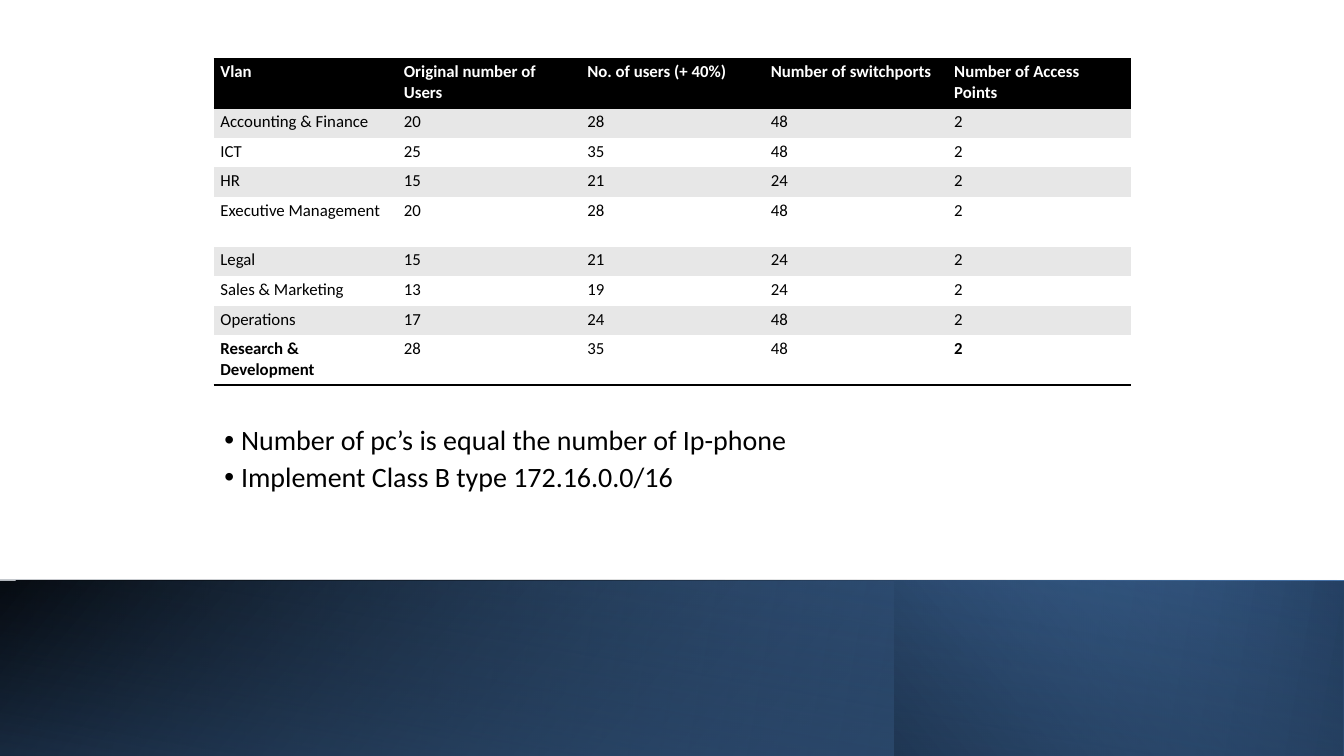
"""Build the VLAN sizing slide: a table, two notes and a blue gradient band."""
from lxml import etree
from pptx import Presentation
from pptx import util as u
from pptx.dml.color import RGBColor
from pptx.enum import shapes, text
from pptx.oxml import parse_xml
from pptx.oxml.ns import nsdecls, qn

COLOURS = {"black": "000000", "white": "FFFFFF", "band": "E7E7E7",
           "blue": "4F81BD", "navy": "254061"}
FONT = "Calibri"
NO_STYLE = "{2D5ABB26-0587-4C30-8999-92F81FD0307C}"
COLUMN_WIDTH = 2.73
LOW_ROW, TALL_ROW = 0.44, 0.74
TALL_ROWS = (0, 4, 8)
ROWS = [
    ("Vlan", "Original number of Users", "No. of users (+ 40%)",
     "Number of switchports", "Number of Access Points"),
    ("Accounting & Finance", "20", "28", "48", "2"),
    ("ICT", "25", "35", "48", "2"),
    ("HR", "15", "21", "24", "2"),
    ("Executive Management", "20", "28", "48", "2"),
    ("Legal", "15", "21", "24", "2"),
    ("Sales & Marketing", "13", "19", "24", "2"),
    ("Operations", "17", "24", "48", "2"),
    ("Research & Development", "28", "35", "48", "2"),
]
NOTES = ["Number of pc’s is equal the number of Ip-phone",
         "Implement Class B type 172.16.0.0/16"]
BAND_LAYERS = [
    ((0, 8.64, 20, 2.61), 140, [(0, "black", 100), (100, "blue", 100)], True, 0),
    ((0, 8.65, 19.99, 2.61), 170, [(0, "blue", 0), (100, "navy", 100)], True, 0),
    ((13.31, 8.64, 6.69, 2.61), 220, [(0, "navy", 100), (100, "blue", 0)], True, 0),
    ((-0.02, 8.63, 20, 2.62), 280, [(0, "black", 0), (99, "navy", 55)], False, 180),
]


def rgb(name):
    return RGBColor.from_string(COLOURS[name])


def format_font(font, size, colour, bold=False):
    font.name = FONT
    font.size = u.Pt(size)
    font.bold = bold
    font.color.rgb = rgb(colour)


def add_gradient_layer(slide, box, angle, stops, flipped, rotation):
    shape = slide.shapes.add_shape(shapes.MSO_SHAPE.RECTANGLE, *map(u.Inches, box))
    shape.shadow.inherit = False
    shape.line.fill.background()
    shape.rotation = rotation
    properties = shape._element.spPr
    if flipped:
        properties.find(qn("a:xfrm")).set("flipH", "1")
    stop_xml = "".join(
        f'<a:gs pos="{position * 1000}"><a:srgbClr val="{COLOURS[colour]}">'
        f'<a:alpha val="{opacity * 1000}"/></a:srgbClr></a:gs>'
        for position, colour, opacity in stops)
    gradient = parse_xml(
        f'<a:gradFill {nsdecls("a")} rotWithShape="1"><a:gsLst>{stop_xml}</a:gsLst>'
        f'<a:lin ang="{angle * 60000}" scaled="0"/></a:gradFill>')
    properties.find(qn("a:prstGeom")).addnext(gradient)


def add_border(cell, side):
    cell._tc.get_or_add_tcPr().append(parse_xml(
        f'<a:{side} {nsdecls("a")} w="{u.Pt(2)}"><a:solidFill>'
        f'<a:srgbClr val="{COLOURS["black"]}"/></a:solidFill></a:{side}>'))


def fill_cell(cell, value, row, column):
    header, last = row == 0, row == len(ROWS) - 1
    if header:
        add_border(cell, "lnT")
    if header or last:
        add_border(cell, "lnB")
    cell.fill.solid()
    cell.fill.fore_color.rgb = rgb("black" if header else "band" if row % 2 else "white")
    cell.text_frame.text = value
    bold = header or (last and column in (0, 4))
    format_font(cell.text_frame.paragraphs[0].runs[0].font, 18,
                "white" if header else "black", bold)


def add_vlan_table(slide):
    heights = [TALL_ROW if row in TALL_ROWS else LOW_ROW for row in range(len(ROWS))]
    columns = len(ROWS[0])
    table = slide.shapes.add_table(
        len(ROWS), columns, u.Inches(3.18), u.Inches(0.87),
        u.Inches(COLUMN_WIDTH * columns), u.Inches(sum(heights))).table
    table._tbl.tblPr.find(qn("a:tableStyleId")).text = NO_STYLE
    for column in table.columns:
        column.width = u.Inches(COLUMN_WIDTH)
    for row, values in enumerate(ROWS):
        table.rows[row].height = u.Inches(heights[row])
        for column, value in enumerate(values):
            fill_cell(table.cell(row, column), value, row, column)


def add_notes_list(slide):
    box = slide.shapes.add_textbox(*map(u.Inches, (3.18, 6.29, 13.67, 1.84)))
    frame = box.text_frame
    frame.word_wrap = True
    frame.vertical_anchor = text.MSO_ANCHOR.TOP
    frame.text = "\n".join(NOTES)
    for paragraph in frame.paragraphs:
        paragraph.line_spacing = 0.9
        paragraph.space_after = u.Pt(8)
        properties = paragraph._p.get_or_add_pPr()
        properties.set("marL", str(u.Inches(0.31)))
        properties.set("indent", str(u.Inches(-0.25)))
        etree.SubElement(properties, qn("a:buFont")).set("typeface", "Arial")
        etree.SubElement(properties, qn("a:buChar")).set("char", "•")
        format_font(paragraph.runs[0].font, 30, "black")


def main():
    presentation = Presentation()
    presentation.slide_width = u.Inches(20)
    presentation.slide_height = u.Inches(11.25)
    slide = presentation.slides.add_slide(presentation.slide_layouts[6])
    slide.background.fill.solid()
    slide.background.fill.fore_color.rgb = rgb("white")
    for layer in BAND_LAYERS:
        add_gradient_layer(slide, *layer)
    add_notes_list(slide)
    add_vlan_table(slide)
    presentation.save("out.pptx")


if __name__ == "__main__":
    main()
